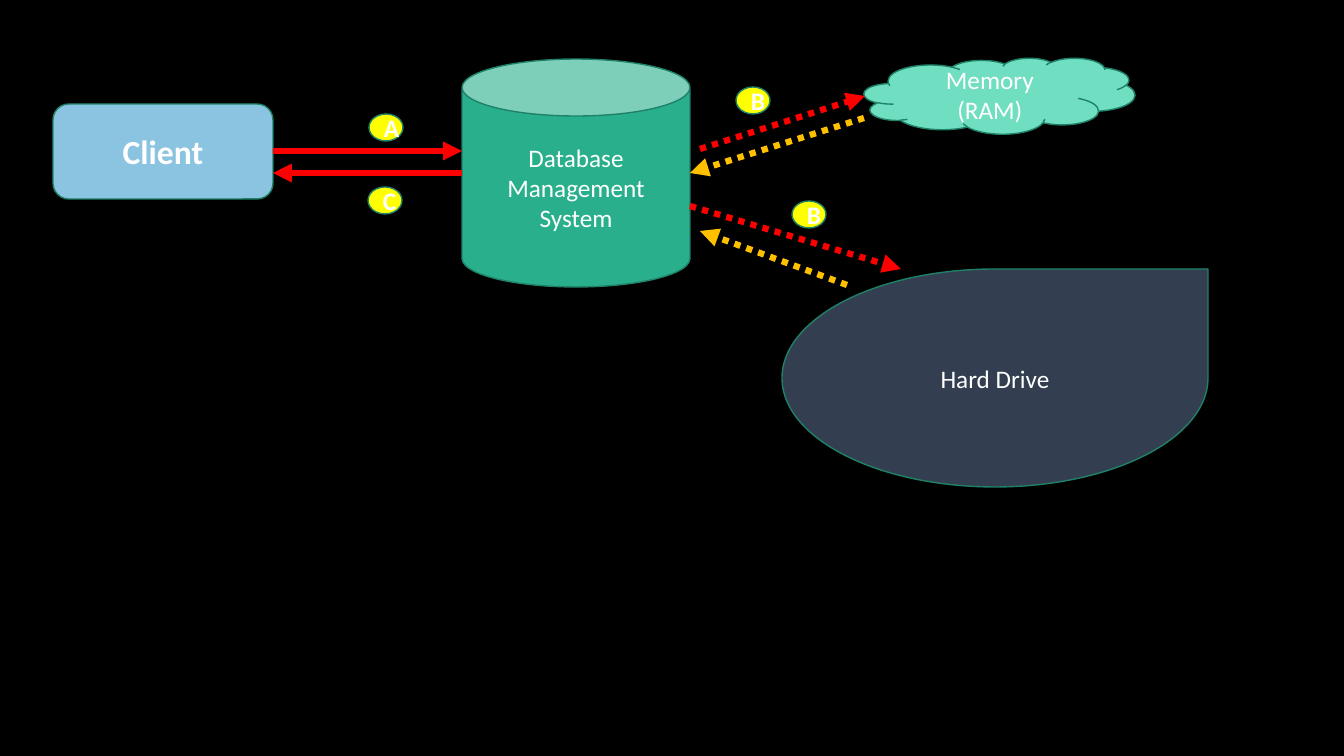
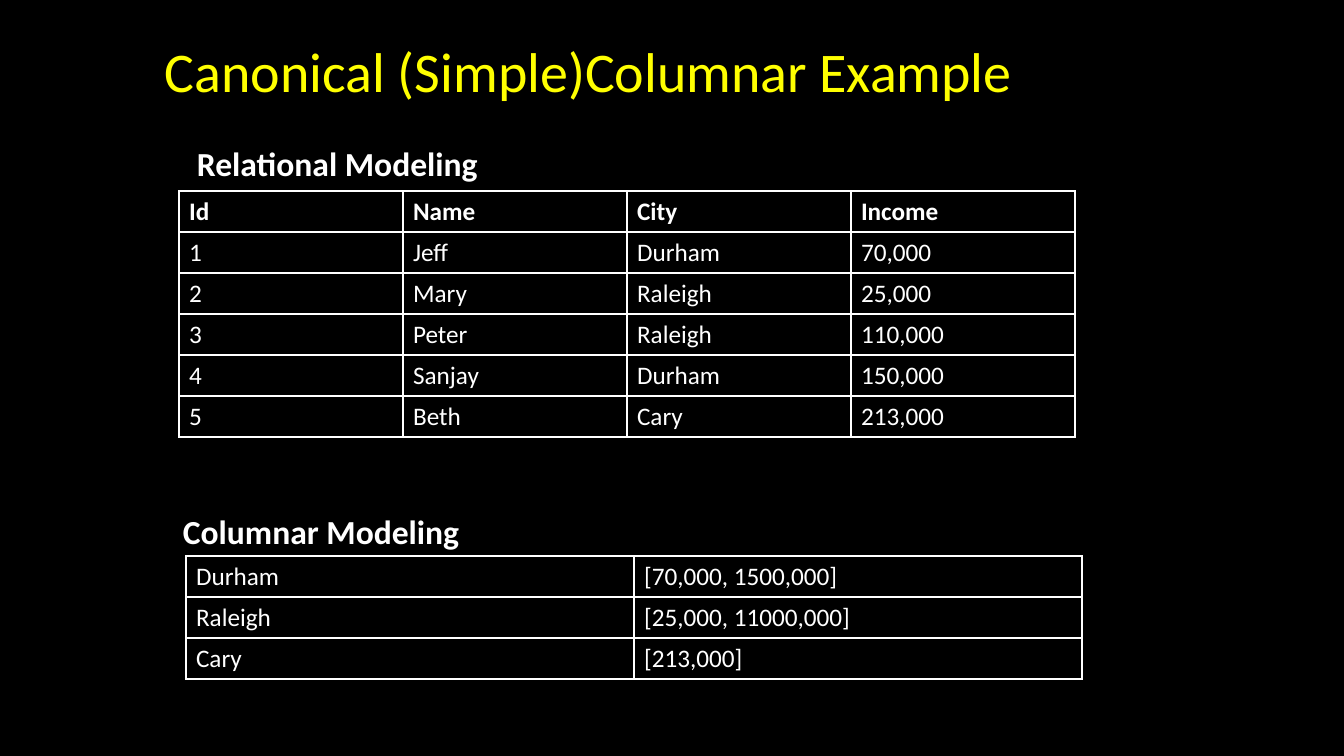
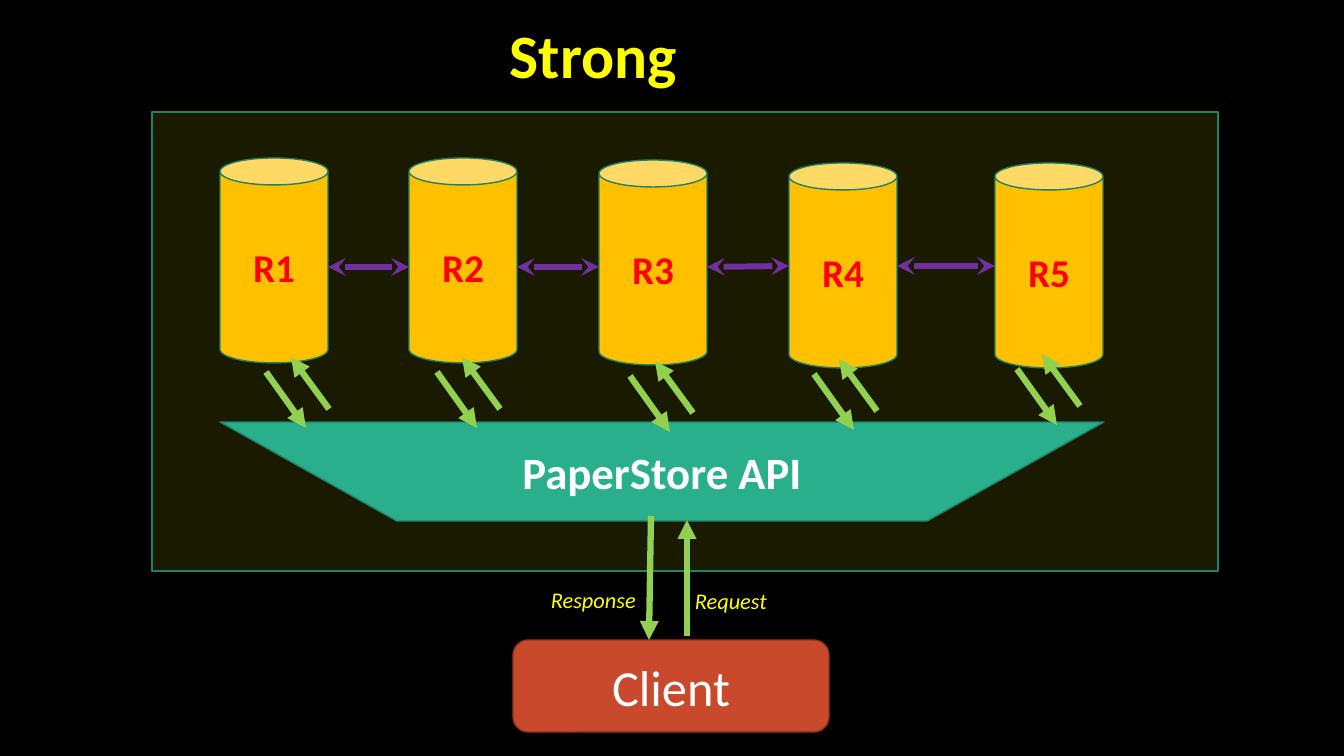
from lxml import etree
from pptx import Presentation
from pptx.dml.color import RGBColor
from pptx.enum.dml import MSO_LINE
from pptx.enum.shapes import MSO_CONNECTOR, MSO_SHAPE
from pptx.enum.text import MSO_ANCHOR, MSO_AUTO_SIZE, PP_ALIGN
from pptx.oxml.ns import qn
from pptx.util import Emu, Pt

WIDE, HIGH = 1344, 756
SCALE = 12192000 / WIDE
FONT = "Calibri"

BLACK = RGBColor(0x00, 0x00, 0x00)
WHITE = RGBColor(0xFF, 0xFF, 0xFF)
YELLOW = RGBColor(0xFF, 0xFF, 0x00)
RED = RGBColor(0xFF, 0x00, 0x00)
GOLD = RGBColor(0xFF, 0xC0, 0x00)
GREEN = RGBColor(0x29, 0xAF, 0x8C)
EDGE = RGBColor(0x1E, 0x81, 0x68)
MINT = RGBColor(0x70, 0xDE, 0xC1)
BLUE = RGBColor(0x8B, 0xC4, 0xE0)
SLATE = RGBColor(0x33, 0x3F, 0x50)
RUST = RGBColor(0xC9, 0x49, 0x2C)
BROWN = RGBColor(0x95, 0x36, 0x21)
LIME = RGBColor(0x92, 0xD0, 0x50)
PURPLE = RGBColor(0x70, 0x30, 0xA0)

CAN = MSO_SHAPE.CAN
CLOUD = MSO_SHAPE.CLOUD
DROP = MSO_SHAPE.TEAR
RECT = MSO_SHAPE.RECTANGLE
ROUND = MSO_SHAPE.ROUNDED_RECTANGLE
DOT = MSO_SHAPE.FLOWCHART_CONNECTOR
FUNNEL = MSO_SHAPE.FLOWCHART_MANUAL_OPERATION
STRAIGHT = MSO_CONNECTOR.STRAIGHT
DOTTED = MSO_LINE.ROUND_DOT
MIDDLE = MSO_ANCHOR.MIDDLE
CENTER = PP_ALIGN.CENTER
GROW = MSO_AUTO_SIZE.SHAPE_TO_FIT_TEXT


def px(*vals):
    return [Emu(round(v * SCALE)) for v in vals]


class Deck:
    def __init__(self):
        self.prs = Presentation()
        self.prs.slide_width, self.prs.slide_height = px(WIDE, HIGH)
        back = self.prs.slide_master.background.fill
        back.solid()
        back.fore_color.rgb = BLACK

    def page(self):
        self.slide = self.prs.slides.add_slide(self.prs.slide_layouts[6])

    def words(self, para, text, size, color=WHITE, bold=False, italic=False):
        for i, part in enumerate(text.split("\n")):
            if i:
                para.add_line_break()
            run = para.add_run()
            run.text = part
            font = run.font
            font.name, font.size = FONT, Pt(size)
            font.bold, font.italic = bold, italic
            font.color.rgb = color

    def shape(self, kind, box, fill, text="", size=18, edge=EDGE, alpha=None, **style):
        item = self.slide.shapes.add_shape(kind, *px(*box))
        item.shadow.inherit = False
        item.fill.solid()
        item.fill.fore_color.rgb = fill
        if alpha is not None:
            tint = next(item.element.spPr.iter(qn("a:srgbClr")))
            etree.SubElement(tint, qn("a:alpha"), val=str(alpha * 1000))
        item.line.color.rgb = edge
        item.line.width = Pt(1)
        if text:
            frame = item.text_frame
            frame.word_wrap = True
            frame.vertical_anchor = MIDDLE
            para = frame.paragraphs[0]
            para.alignment = CENTER
            self.words(para, text, size, **style)

    def label(self, box, text, size, **style):
        frame = self.slide.shapes.add_textbox(*px(*box)).text_frame
        frame.word_wrap = False
        frame.auto_size = GROW
        self.words(frame.paragraphs[0], text, size, **style)

    def arrow(self, ends, color, width=4.5, dash=None, tip="triangle", both=False):
        item = self.slide.shapes.add_connector(STRAIGHT, *px(*ends))
        item.line.color.rgb = color
        item.line.width = Pt(width)
        if dash:
            item.line.dash_style = dash
        props = item.element.spPr
        line = props.find(qn("a:ln"))
        for tag in ("a:headEnd", "a:tailEnd") if both else ("a:tailEnd",):
            etree.SubElement(line, qn(tag), type=tip)
        etree.SubElement(props, qn("a:effectLst"))

    def border(self, cell):
        props = cell._tc.get_or_add_tcPr()
        for side in "LRTB":
            line = etree.SubElement(props, qn(f"a:ln{side}"), w=str(Pt(1)))
            fill = etree.SubElement(line, qn("a:solidFill"))
            etree.SubElement(fill, qn("a:srgbClr"), val=str(WHITE))

    def table(self, left, top, col, row, data, head=False):
        """Draw a ruled grid; col and row are the size of one cell."""
        down, wide = len(data), len(data[0])
        box = px(left, top, col * wide, row * down)
        grid = self.slide.shapes.add_table(down, wide, *box).table
        grid.first_row = grid.horz_banding = False
        for r, texts in enumerate(data):
            grid.rows[r].height = px(row)[0]
            for c, text in enumerate(texts):
                cell = grid.cell(r, c)
                self.border(cell)
                cell.fill.background()
                para = cell.text_frame.paragraphs[0]
                self.words(para, text, 18, bold=head and r == 0)


def flow(deck):
    deck.page()
    deck.shape(CAN, (462, 59, 228, 228), GREEN, "Database\nManagement\nSystem")
    deck.shape(ROUND, (53, 104, 220, 95), BLUE, "Client", 24, bold=True)
    deck.shape(CLOUD, (864, 58, 271, 76), MINT, "Memory (RAM)")
    deck.shape(DROP, (782, 269, 426, 218), SLATE, "Hard Drive")
    for ends in ((273, 151, 462, 151), (462, 173, 273, 173)):
        deck.arrow(ends, RED)
    for ends, color in (
        ((700, 149, 865, 96), RED),
        ((864, 118, 690, 173), GOLD),
        ((690, 206, 901, 269), RED),
        ((847, 285, 700, 231), GOLD),
    ):
        deck.arrow(ends, color, dash=DOTTED)
    for text, x, y in (("A", 369, 114), ("B", 736, 87), ("B", 792, 201), ("C", 368, 187)):
        deck.shape(DOT, (x, y, 34, 27), YELLOW, text, bold=True)


def models(deck):
    deck.page()
    deck.label((155, 32, 876, 78), "Canonical (Simple)Columnar Example", 40, color=YELLOW)
    deck.label((187, 138, 304, 50), "Relational Modeling", 24, bold=True)
    deck.table(179, 191, 224, 41, (
        ("Id", "Name", "City", "Income"),
        ("1", "Jeff", "Durham", "70,000"),
        ("2", "Mary", "Raleigh", "25,000"),
        ("3", "Peter", "Raleigh", "110,000"),
        ("4", "Sanjay", "Durham", "150,000"),
        ("5", "Beth", "Cary", "213,000"),
    ), head=True)
    deck.label((173, 506, 299, 50), "Columnar Modeling", 24, bold=True)
    deck.table(186, 556, 448, 41, (
        ("Durham", "[70,000, 1500,000]"),
        ("Raleigh", "[25,000, 11000,000]"),
        ("Cary", "[213,000]"),
    ))


def strong(deck):
    deck.page()
    deck.label((500, 12, 188, 85), "Strong", 44, color=YELLOW, bold=True)
    deck.shape(RECT, (152, 112, 1066, 459), YELLOW, alpha=10)
    cans = ((220, 158), (409, 158), (599, 160), (789, 163), (995, 163))
    wide = 108
    for i, (x, y) in enumerate(cans, 1):
        deck.shape(CAN, (x, y, wide, 205), GOLD, f"R{i}", 28, color=RED, bold=True)
    deck.shape(ROUND, (513, 640, 316, 92), RUST, "Client", 36, edge=BROWN)
    deck.shape(FUNNEL, (220, 422, 884, 99), GREEN, "PaperStore API", 32, bold=True)

    for ends in ((687, 636, 687, 520), (651, 516, 649, 640)):
        deck.arrow(ends, LIME)
    for x, y in ((266, 372), (437, 372), (630, 376), (814, 374), (1017, 369)):
        deck.arrow((x + 63, y + 37, x + 25, y - 15), LIME)
        deck.arrow((x, y, x + 40, y + 56), LIME)

    levels = (267, 267, 267, 266, 266)
    for i in range(len(cans) - 1):
        ends = (cans[i][0] + wide, levels[i], cans[i + 1][0], levels[i + 1])
        deck.arrow(ends, PURPLE, 4.25, tip="stealth", both=True)

    deck.label((685, 582, 95, 37), "Request", 16, color=YELLOW, italic=True)
    deck.label((541, 581, 108, 37), "Response", 16, color=YELLOW, italic=True)


def main():
    deck = Deck()
    for draw in (flow, models, strong):
        draw(deck)
    deck.prs.save("out.pptx")


if __name__ == "__main__":
    main()
